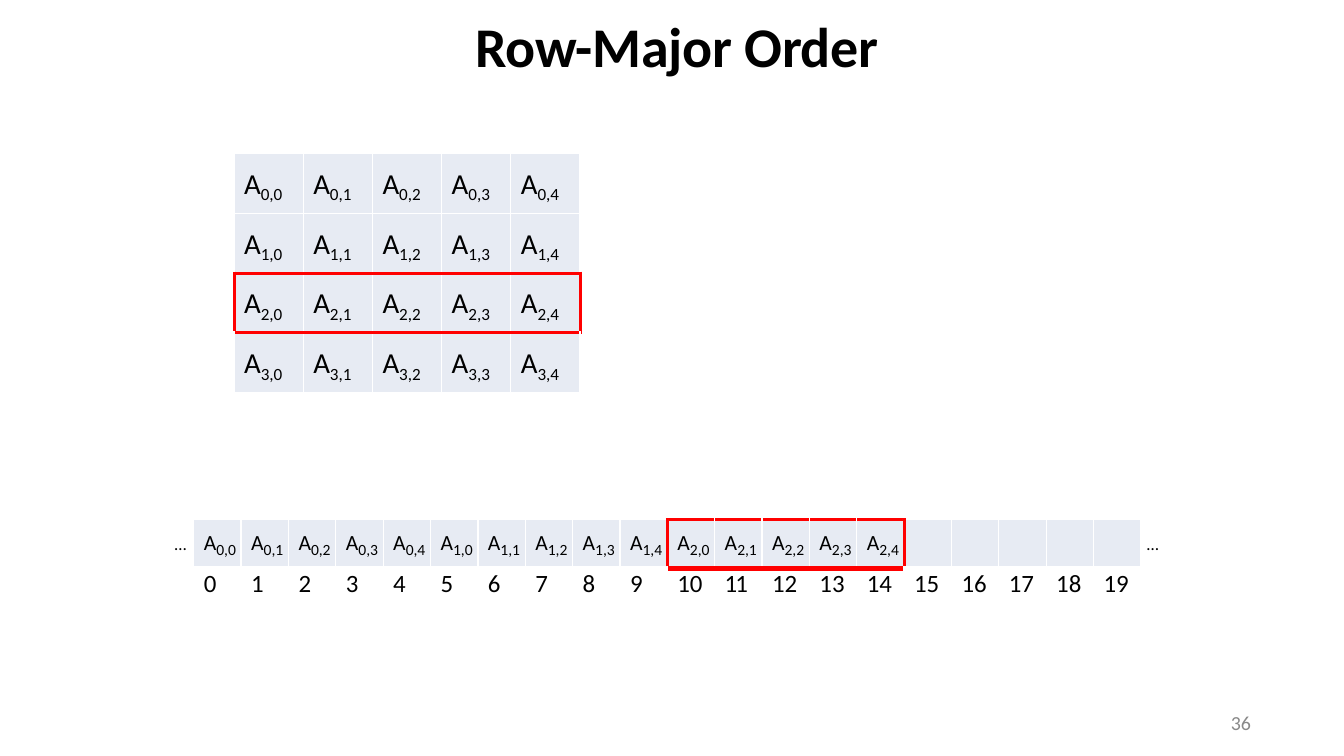
from lxml.etree import SubElement as Sub
from pptx import Presentation
from pptx.dml.color import RGBColor as RGB
from pptx.enum.text import MSO_ANCHOR as Anchor, PP_ALIGN as Align
from pptx.oxml.ns import qn
from pptx.util import Inches, Pt

HUE = {"ink": "000000", "cell": "E7EBF3", "line": "FFFFFF", "mark": "FF0000", "page": "898989"}
SIDES = {"L": (0, -1), "R": (0, 1), "T": (-1, 0), "B": (1, 0)}
COLS = 5


def put(obj, vals):
    for key, val in vals.items():
        setattr(obj, key, val)


def add_run(para, text, size, hue="ink", bold=False, **extra):
    run = para.add_run()
    run.text = text
    put(run.font, {"name": "Calibri", "size": Pt(size), "bold": bold})
    run.font.color.rgb = RGB.from_string(HUE[hue])
    for key, val in extra.items():
        run.font._element.set(key, str(val))


def add_label(slide, box, text, size, align=Align.LEFT, anchor=Anchor.TOP, **style):
    frame = slide.shapes.add_textbox(*map(Inches, box)).text_frame
    put(frame, {"word_wrap": True, "vertical_anchor": anchor, "margin_left": 0,
                "margin_right": 0, "margin_top": 0, "margin_bottom": 0})
    para = frame.paragraphs[0]
    para.alignment = align
    add_run(para, text, size, **style)


def add_item(cell, row, col, size, small):
    para = cell.text_frame.paragraphs[0]
    add_run(para, "A", size, baseline=13000)
    add_run(para, f"{row},{col}", small)


def add_edge(cell, rank, side, hue, width):
    line = cell._tc.get_or_add_tcPr().makeelement(qn(f"a:ln{side}"), {"w": str(Pt(width))})
    fill = Sub(line, qn("a:solidFill"))
    Sub(fill, qn("a:srgbClr"), val=HUE[hue])
    cell._tc.tcPr.insert(rank, line)


def add_grid(slide, box, rows, cols, marked, filled, rule):
    table = slide.shapes.add_table(rows, cols, *map(Inches, box)).table
    put(table, {"first_row": False, "horz_banding": False})
    for col in table.columns:
        col.width = Inches(box[2] / cols)
    for row in table.rows:
        row.height = Inches(box[3] / rows)
    for row in range(rows):
        for col in range(cols):
            cell = table.cell(row, col)
            put(cell, {"margin_left": Inches(0.09), "margin_right": 0,
                       "margin_top": 0, "margin_bottom": 0})
            if row < filled:
                cell.fill.solid()
                cell.fill.fore_color.rgb = RGB.from_string(HUE["cell"])
            else:
                cell.fill.background()
            for rank, (side, (down, right)) in enumerate(SIDES.items()):
                near = (row + down, col + right)
                hot = ((row, col) in marked) != (near in marked)
                split = {row, near[0]} == {filled - 1, filled} and filled < rows
                width = rule[hot] if split else (2.25 if hot else 1)
                add_edge(cell, rank, side, "mark" if hot else "line", width)
    return table


def add_matrix(slide, box):
    marked = {(2, col) for col in range(COLS)}
    table = add_grid(slide, box, 4, COLS, marked, 4, (1, 2.25))
    for row in range(4):
        for col in range(COLS):
            add_item(table.cell(row, col), row, col, 32, 11)


def add_memory(slide, box):
    left, top, width, _ = box
    for start in (left - 0.17, left + width + 0.05):
        add_label(slide, (start, top + 0.12, 0.17, 0.19), "…", 11)
    marked = {(0, col) for col in range(10, 15)}
    table = add_grid(slide, box, 2, 20, marked, 1, (3.16, 3.78))
    for slot in range(20):
        if slot < 15:
            add_item(table.cell(0, slot), *divmod(slot, COLS), 24, 10)
        para = table.cell(1, slot).text_frame.paragraphs[0]
        add_run(para, str(slot), 16, spc=-120 if slot == 11 else 0)


def main():
    deck = Presentation()
    put(deck, {"slide_width": Inches(12), "slide_height": Inches(6.75)})
    slide = deck.slides.add_slide(deck.slide_layouts[6])
    add_label(slide, (3.96, 0.13, 4.17, 0.55), "Row-Major Order", 36,
              Align.CENTER, Anchor.MIDDLE, bold=True, spc=-20)
    add_matrix(slide, (2.09, 1.37, 3.09, 2.09))
    add_memory(slide, (1.73, 4.64, 8.46, 0.87))
    add_label(slide, (8.47, 6.27, 2.7, 0.36), "36", 12.8,
              Align.RIGHT, Anchor.MIDDLE, hue="page")
    deck.save("out.pptx")


if __name__ == "__main__":
    main()
